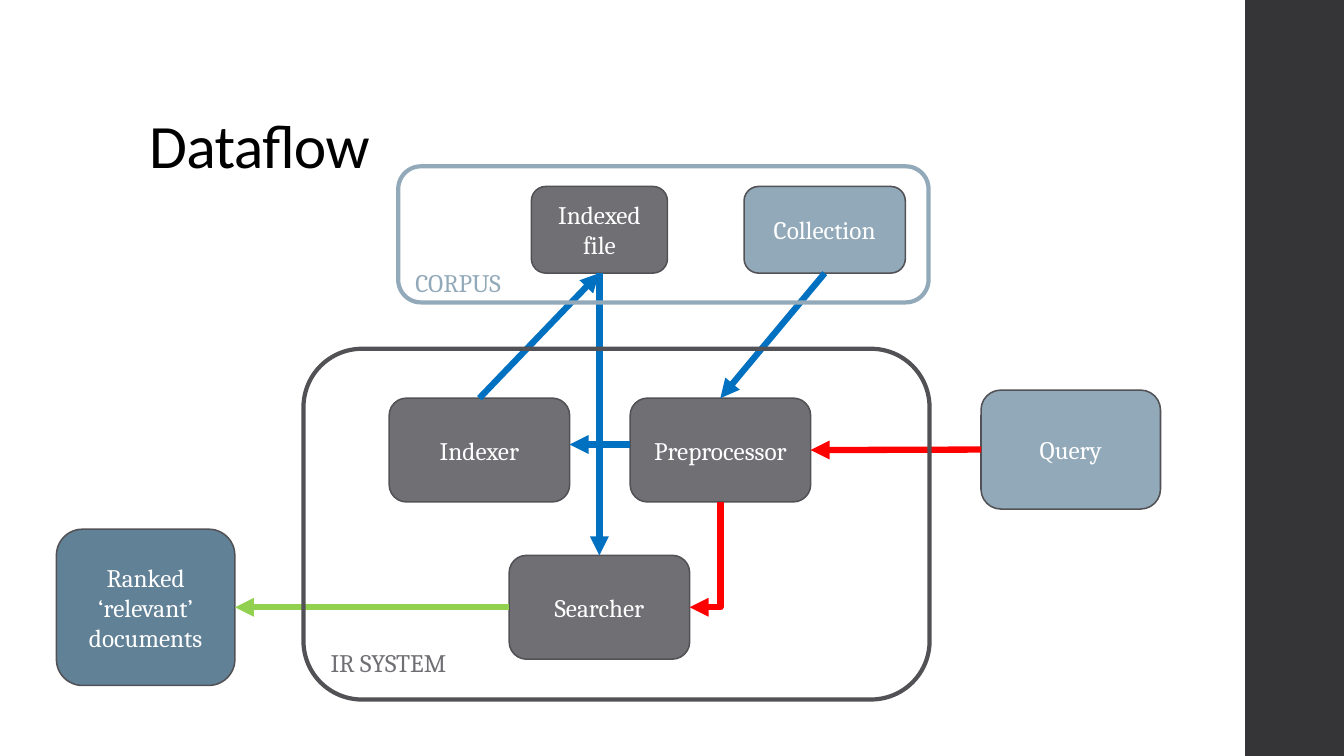
from lxml import etree
from pptx import Presentation
from pptx.dml.color import RGBColor
from pptx.enum.shapes import MSO_CONNECTOR, MSO_SHAPE
from pptx.enum.text import MSO_ANCHOR, MSO_AUTO_SIZE, PP_ALIGN
from pptx.oxml.ns import qn
from pptx.util import Inches, Pt

STRAIGHT, ELBOW = MSO_CONNECTOR.STRAIGHT, MSO_CONNECTOR.ELBOW
RECT, ROUNDED = MSO_SHAPE.RECTANGLE, MSO_SHAPE.ROUNDED_RECTANGLE
TOP, MIDDLE, BOTTOM = MSO_ANCHOR.TOP, MSO_ANCHOR.MIDDLE, MSO_ANCHOR.BOTTOM
LEFT, CENTER = PP_ALIGN.LEFT, PP_ALIGN.CENTER
GROW = MSO_AUTO_SIZE.SHAPE_TO_FIT_TEXT
TITLE_ONLY = 5
# Connection sites of a rounded rectangle
AT_TOP, AT_LEFT, AT_BOTTOM, AT_RIGHT = range(4)

COLORS = {
    "black": "000000", "white": "FFFFFF", "sidebar": "353537",
    "outline": "525256", "module": "6F6F74", "input": "92A9B9",
    "result": "618197", "indexing": "0070C0", "querying": "FF0000",
    "answering": "92D050",
}

# name: (text, fill, box as left, top, width, height)
NODES = {
    "file": ("Indexed file", "module", (5.27, 1.85, 1.35, 0.86)),
    "preprocessor": ("Preprocessor", "module", (6.25, 3.95, 1.79, 1.03)),
    "indexer": ("Indexer", "module", (3.86, 3.95, 1.79, 1.03)),
    "query": ("Query", "input", (9.73, 3.87, 1.78, 1.18)),
    "searcher": ("Searcher", "module", (5.05, 5.51, 1.79, 1.03)),
    "ranked": ("Ranked ‘relevant’ documents", "result", (0.56, 5.25, 1.77, 1.55)),
    "collection": ("Collection", "input", (7.38, 1.85, 1.6, 0.86)),
}

# source, its site, target, its site, color
FLOWS = [
    ("collection", AT_BOTTOM, "preprocessor", AT_TOP, "indexing"),
    ("preprocessor", AT_LEFT, "indexer", AT_RIGHT, "indexing"),
    ("indexer", AT_TOP, "file", AT_BOTTOM, "indexing"),
    ("query", AT_LEFT, "preprocessor", AT_RIGHT, "querying"),
    ("file", AT_BOTTOM, "searcher", AT_TOP, "indexing"),
    ("searcher", AT_LEFT, "ranked", AT_RIGHT, "answering"),
]


def rgb(color):
    return RGBColor.from_string(COLORS[color])


def inches(box):
    return [Inches(length) for length in box]


def write(frame, text, color, size=18, font="Cambria", align=LEFT, anchor=TOP):
    frame.word_wrap = True
    frame.vertical_anchor = anchor
    paragraph = frame.paragraphs[0]
    paragraph.text = text
    paragraph.alignment = align
    run = paragraph.runs[0]
    run.font.name, run.font.size = font, Pt(size)
    run.font.color.rgb = rgb(color)
    return paragraph


def add_block(shapes, kind, box, fill=None, line=None, weight=1.1):
    block = shapes.add_shape(kind, *inches(box))
    block.shadow.inherit = False
    if fill:
        block.fill.solid()
        block.fill.fore_color.rgb = rgb(fill)
    else:
        block.fill.background()
    if line:
        block.line.color.rgb = rgb(line)
        block.line.width = Pt(weight)
    else:
        block.line.fill.background()
    return block


def style_arrow(arrow, color):
    arrow.line.color.rgb = rgb(color)
    arrow.line.width = Pt(4.5)
    etree.SubElement(arrow.line._get_or_add_ln(), qn("a:tailEnd"), type="triangle")
    etree.SubElement(arrow._element.spPr, qn("a:effectLst"))


def add_title(slide, box):
    title = slide.shapes.title
    title.left, title.top, title.width, title.height = inches(box)
    paragraph = write(title.text_frame, "Dataflow", "black", 44, "Calibri", anchor=BOTTOM)
    paragraph.line_spacing = 0.9
    paragraph.runs[0].font._element.set("spc", "-50")


def add_nodes(slide):
    nodes = {}
    for name, (text, fill, box) in NODES.items():
        nodes[name] = add_block(slide.shapes, ROUNDED, box, fill, "outline")
        write(nodes[name].text_frame, text, "white", align=CENTER, anchor=MIDDLE)
    return nodes


def add_flows(slide, nodes):
    for source, start, target, end, color in FLOWS:
        arrow = slide.shapes.add_connector(STRAIGHT, 0, 0, 0, 0)
        arrow.begin_connect(nodes[source], start)
        arrow.end_connect(nodes[target], end)
        if (source, target) == ("preprocessor", "indexer"):
            arrow.top = Inches(4.41)
        style_arrow(arrow, color)


def add_search_elbow(slide, preprocessor, searcher):
    """Runs down from the preprocessor, then left into the searcher."""
    x1 = preprocessor.left + preprocessor.width // 2
    y1 = preprocessor.top + preprocessor.height
    x2 = searcher.left + searcher.width
    y2 = searcher.top + searcher.height // 2
    # A quarter turn swaps the width and height around the centre
    drop, run = y2 - y1, x1 - x2
    left, top = (x1 + x2 - drop) // 2, (y1 + y2 - run) // 2
    elbow = slide.shapes.add_connector(ELBOW, left, top, left + drop, top + run)
    properties = elbow._element.spPr
    properties.find(qn("a:xfrm")).set("rot", str(90 * 60000))
    properties.find(qn("a:prstGeom")).set("prst", "bentConnector2")
    style_arrow(elbow, "querying")


def add_corpus(slide, box):
    left, top, _, height = box
    corpus = slide.shapes.add_group_shape()
    add_block(corpus.shapes, ROUNDED, box, line="input", weight=3)
    label_box = (left + 0.07, top + height - 0.4, 1.82, 0.4)
    label = corpus.shapes.add_textbox(*inches(label_box))
    write(label.text_frame, "CORPUS", "input")
    label.text_frame.auto_size = GROW


def add_ir_system(slide, box):
    system = add_block(slide.shapes, ROUNDED, box, line="outline", weight=3)
    write(system.text_frame, "IR SYSTEM", "module", anchor=BOTTOM)


def main():
    deck = Presentation()
    deck.slide_width, deck.slide_height = Inches(13.33), Inches(7.5)
    slide = deck.slides.add_slide(deck.slide_layouts[TITLE_ONLY])

    # Sidebar and title
    add_block(slide.shapes, RECT, (12.35, 0, 0.98, 7.5), "sidebar")
    add_title(slide, (1.38, 0.4, 10.6, 1.45))

    # Dataflow diagram
    nodes = add_nodes(slide)
    add_flows(slide, nodes)
    add_search_elbow(slide, nodes["preprocessor"], nodes["searcher"])

    # Frames around the parts
    add_corpus(slide, (3.95, 1.65, 5.26, 1.35))
    add_ir_system(slide, (3.01, 3.46, 6.21, 3.48))
    deck.save("out.pptx")


if __name__ == "__main__":
    main()
